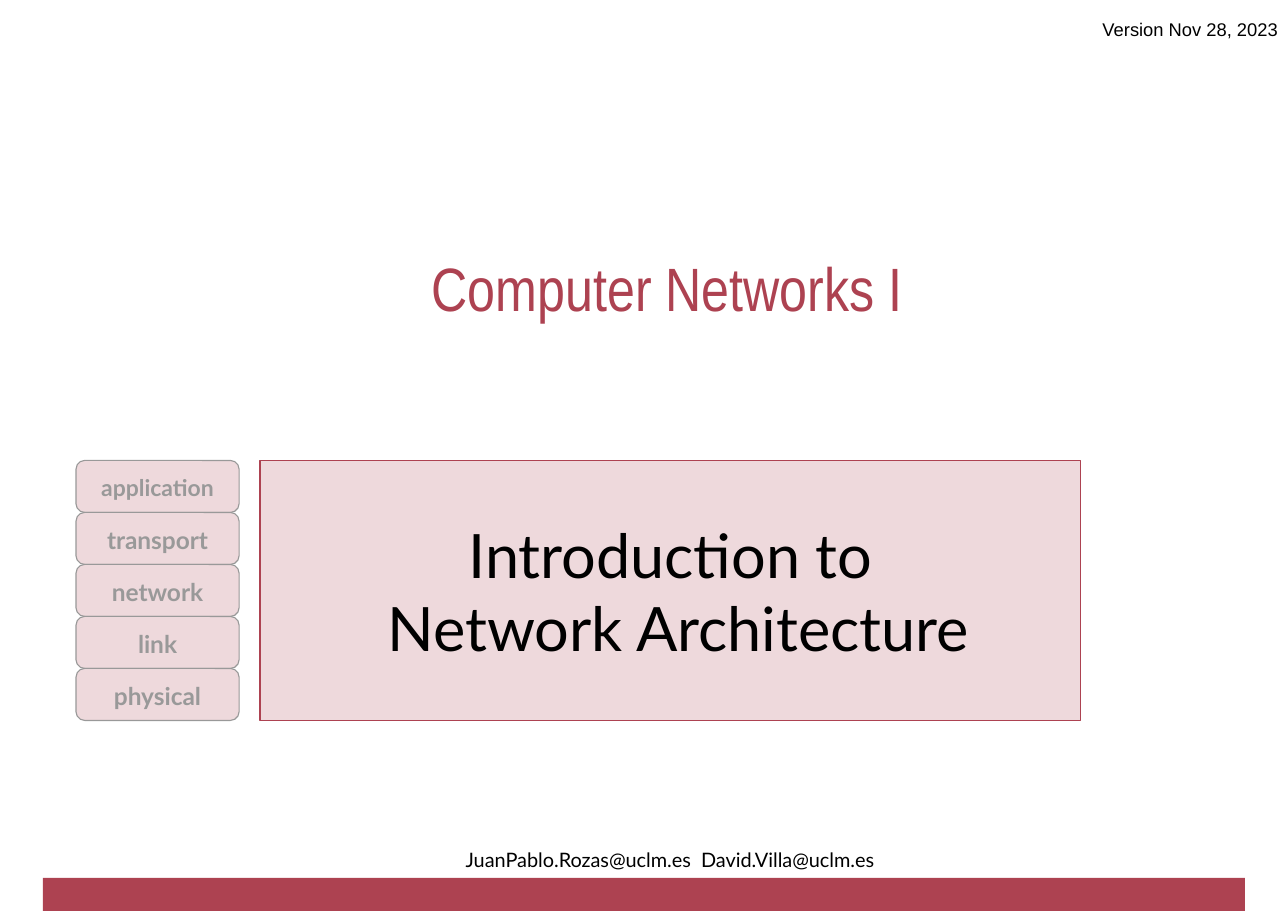
import pptx
import pptx.dml.color
import pptx.enum.shapes
import pptx.enum.text
import pptx.util
from dataclasses import dataclass

Inches = pptx.util.Inches
Pt = pptx.util.Pt
Align = pptx.enum.text.PP_ALIGN
Anchor = pptx.enum.text.MSO_ANCHOR
Preset = pptx.enum.shapes.MSO_SHAPE


@dataclass(frozen=True)
class Theme:
    crimson: str = "AD4251"
    blush: str = "EED9DC"
    grey: str = "999999"
    black: str = "000000"
    body_font: str = "Lato"
    version_font: str = "Arial"
    course_font: str = "Arial Narrow"
    heading_size: float = 40
    layer_size: float = 16
    first_layer_size: float = 15
    contact_size: float = 13
    version_size: float = 12
    line_spacing: float = 1.08


THEME = Theme()
LAYERS = ["application", "transport", "network", "link", "physical"]


def color(value):
    return pptx.dml.color.RGBColor.from_string(value)


def write(box, text, font, size, ink, align=Align.CENTER, bold=False,
          margins=(0, 0, 0, 0), anchor=Anchor.TOP, spacing=None, wrap=True):
    frame = box.text_frame
    frame.word_wrap = wrap
    frame.vertical_anchor = anchor
    (frame.margin_left, frame.margin_top,
     frame.margin_right, frame.margin_bottom) = map(Inches, margins)
    frame.text = text
    for para in frame.paragraphs:
        para.alignment = align
        para.line_spacing = spacing
        for span in para.runs:
            span.font.name = font
            span.font.size = Pt(size)
            span.font.bold = bold
            span.font.color.rgb = color(ink)


def add_text_box(page, area):
    return page.shapes.add_textbox(*map(Inches, area))


def add_panel(page, preset, area, fill, line=None):
    panel = page.shapes.add_shape(preset, *map(Inches, area))
    panel.shadow.inherit = False
    panel.fill.solid()
    panel.fill.fore_color.rgb = color(fill)
    if line:
        panel.line.color.rgb = color(line)
        panel.line.width = Pt(0)
    else:
        panel.line.fill.background()
    return panel


def add_version(page, area):
    write(add_text_box(page, area), "Version Nov 28, 2023", THEME.version_font,
          THEME.version_size, THEME.black, Align.RIGHT,
          spacing=THEME.line_spacing, wrap=False)


def add_course(page, area):
    write(add_text_box(page, area), "Computer Networks I", THEME.course_font,
          THEME.heading_size, THEME.crimson, margins=(0.33, 0.12, 0.1, 0.05))


def add_title(page, area):
    panel = add_panel(page, Preset.RECTANGLE, area, THEME.blush, THEME.crimson)
    write(panel, "Introduction to\v Network Architecture", THEME.body_font,
          THEME.heading_size, THEME.black, margins=(0.1, 0.05, 0.1, 0.05),
          anchor=Anchor.MIDDLE)


def add_layer_stack(page, area):
    left, top, width, height = area
    step = height / len(LAYERS)
    for index, layer in enumerate(LAYERS):
        panel = add_panel(page, Preset.ROUNDED_RECTANGLE,
                          (left, top + index * step, width, step),
                          THEME.blush, THEME.grey)
        size = THEME.layer_size if index else THEME.first_layer_size
        write(panel, layer, THEME.body_font, size, THEME.grey, bold=True,
              anchor=Anchor.MIDDLE, spacing=THEME.line_spacing)


def add_footer(page, area):
    left, top, width, height = area
    # Crimson band along the bottom edge
    add_panel(page, Preset.RECTANGLE, area, THEME.crimson)
    # Authors' addresses just above the band
    contact = add_text_box(page, (left + 2.91, top - 0.29, 5.56, 0.25))
    write(contact, "JuanPablo.Rozas@uclm.es  David.Villa@uclm.es",
          THEME.body_font, THEME.contact_size, THEME.black,
          spacing=THEME.line_spacing)


def main():
    deck = pptx.Presentation()
    deck.slide_width = Inches(11.69)
    deck.slide_height = Inches(8.27)
    page = deck.slides.add_slide(deck.slide_layouts[6])

    # Heading
    add_version(page, (9.99, 0.15, 1.61, 0.23))
    add_course(page, (0.98, 2.15, 9.92, 0.86))

    # Lecture title beside the protocol layers
    add_title(page, (2.36, 4.18, 7.45, 2.36))
    add_layer_stack(page, (0.69, 4.18, 1.48, 2.36))

    # Footer
    add_footer(page, (0.39, 7.97, 10.91, 0.3))
    deck.save("out.pptx")


if __name__ == "__main__":
    main()
